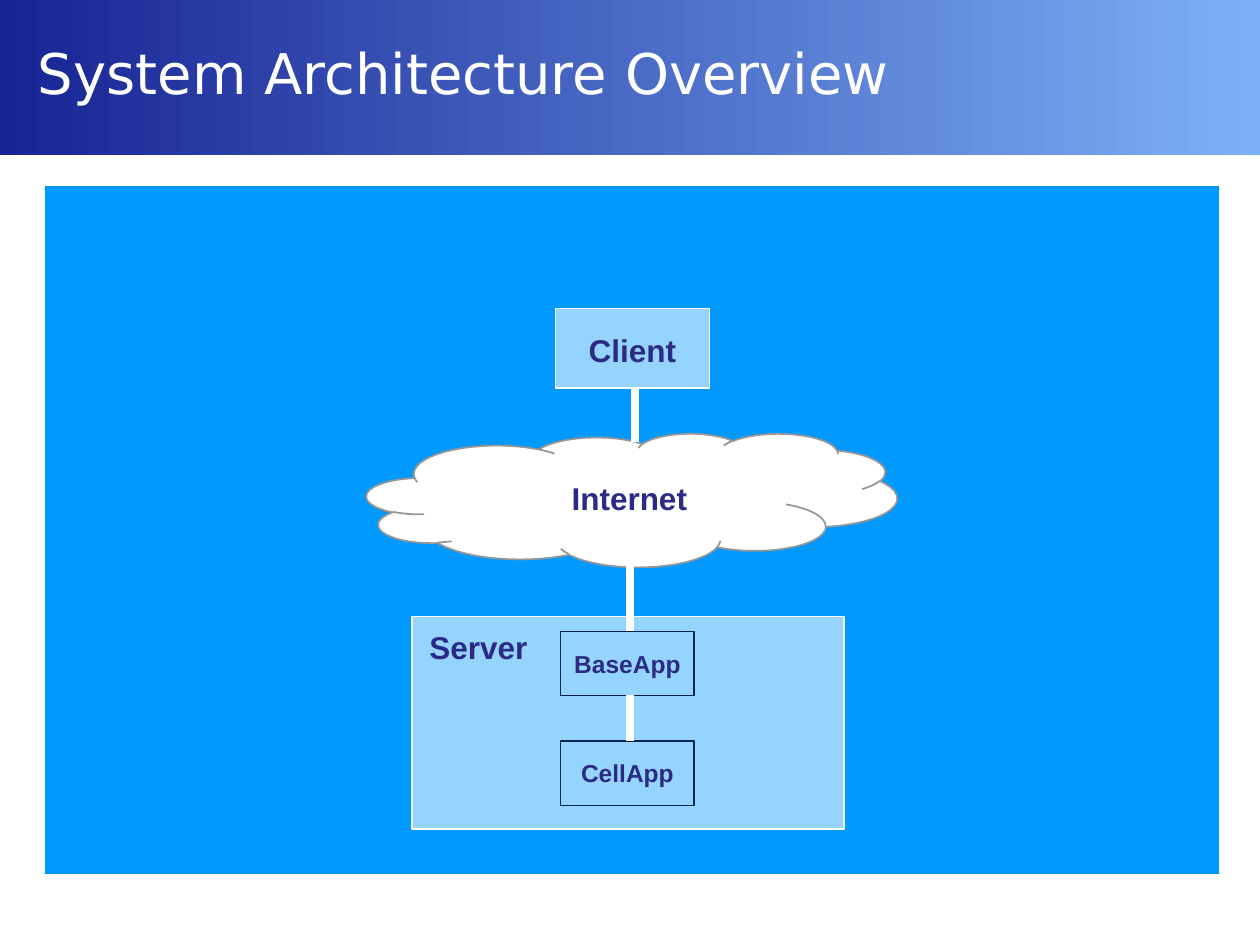
"""Build the System Architecture Overview slide."""
from lxml.etree import SubElement
from pptx import Presentation
from pptx.dml.color import RGBColor
from pptx.enum.shapes import MSO_CONNECTOR, MSO_SHAPE
from pptx.enum.text import MSO_ANCHOR, PP_ALIGN
from pptx.oxml.ns import qn
from pptx.util import Pt

WHITE = RGBColor(0xFF, 0xFF, 0xFF)
DARK = RGBColor(0x18, 0x24, 0x94)
LIGHT = RGBColor(0x7C, 0xB0, 0xF6)
BLUE = RGBColor(0x00, 0x99, 0xFF)
PALE = RGBColor(0x95, 0xD4, 0xFF)
NAVY = RGBColor(0x00, 0x25, 0x4A)
GREY = RGBColor(0x96, 0x96, 0x96)
INK = RGBColor(0x2B, 0x2B, 0x85)

TITLE = "System Architecture Overview"
HEADER = (0, 0, 720, 88.5)
PANEL = (25.2, 105.8, 671.8, 393.8)
CLIENT = (317.5, 176.4, 87.8, 45.4)
SERVER = (235.4, 352.1, 247, 121.7)
CLOUD = (209.5, 247.7, 303.1, 76.3)
LABEL = (294.5, 270, 130.3, 28.8)
APPS = [("BaseApp", 360.7), ("CellApp", 423.4)]
APP_LEFT, APP_WIDE, APP_HIGH = 320.4, 76.3, 36.7
AXIS = 360


def put_text(shape, text, size=18, font="Arial", color=INK, bold=True,
             align=PP_ALIGN.CENTER, anchor=MSO_ANCHOR.MIDDLE, pad=(0, 0, 0, 0)):
    frame = shape.text_frame
    frame.word_wrap = True
    frame.vertical_anchor = anchor
    (frame.margin_left, frame.margin_top,
     frame.margin_right, frame.margin_bottom) = map(Pt, pad)
    para = frame.paragraphs[0]
    para.alignment = align
    run = para.add_run()
    run.text = text
    run.font.size, run.font.name = Pt(size), font
    run.font.bold, run.font.color.rgb = bold, color


def add_box(slide, place, fill, line=None, kind=MSO_SHAPE.RECTANGLE, width=0.75):
    box = slide.shapes.add_shape(kind, *map(Pt, place))
    box.shadow.inherit = False
    if fill:
        box.fill.solid()
        box.fill.fore_color.rgb = fill
    if line:
        box.line.color.rgb = line
        box.line.width = Pt(width)
    else:
        box.line.fill.background()
    return box


def add_link(slide, x, top, end):
    link = slide.shapes.add_connector(
        MSO_CONNECTOR.STRAIGHT, Pt(x), Pt(top), Pt(x), Pt(end))
    link.line.color.rgb = WHITE
    link.line.width = Pt(4.5)
    SubElement(link.element.spPr, qn("a:effectLst"))


def main():
    deck = Presentation()
    deck.slide_width, deck.slide_height = Pt(720), Pt(540)
    slide = deck.slides.add_slide(deck.slide_layouts[5])

    header = add_box(slide, HEADER, None)
    header.fill.gradient()
    header.fill.gradient_angle = 0
    for stop, color, spot in zip(header.fill.gradient_stops, (DARK, LIGHT), (0, 1)):
        stop.color.rgb = color
        stop.position = spot

    panel = add_box(slide, PANEL, BLUE, WHITE)
    title = slide.shapes.title
    panel.element.addnext(title.element)
    title.left, title.top, title.width, title.height = map(Pt, (14.4, 0, 689, 82.8))
    put_text(title, TITLE, size=32, font="DejaVu Sans", color=WHITE, bold=False,
             align=PP_ALIGN.LEFT, pad=(7.2, 3, 7.2, 3.6))

    put_text(add_box(slide, CLIENT, PALE, WHITE), "Client", pad=(0, 2, 0, 0))
    put_text(add_box(slide, SERVER, PALE, WHITE), "Server", align=PP_ALIGN.LEFT,
             anchor=MSO_ANCHOR.TOP, pad=(10, 6.5, 0, 0))
    add_box(slide, CLOUD, WHITE, GREY, MSO_SHAPE.CLOUD, 1)
    put_text(slide.shapes.add_textbox(*map(Pt, LABEL)), "Internet")

    add_link(slide, 362.9, CLIENT[1] + CLIENT[3], 252.7)
    start = 321.1
    for name, top in APPS:
        app = add_box(slide, (APP_LEFT, top, APP_WIDE, APP_HIGH), PALE, NAVY)
        put_text(app, name, size=14)
        add_link(slide, AXIS, start, top)
        start = top + APP_HIGH

    deck.save("out.pptx")


if __name__ == "__main__":
    main()
